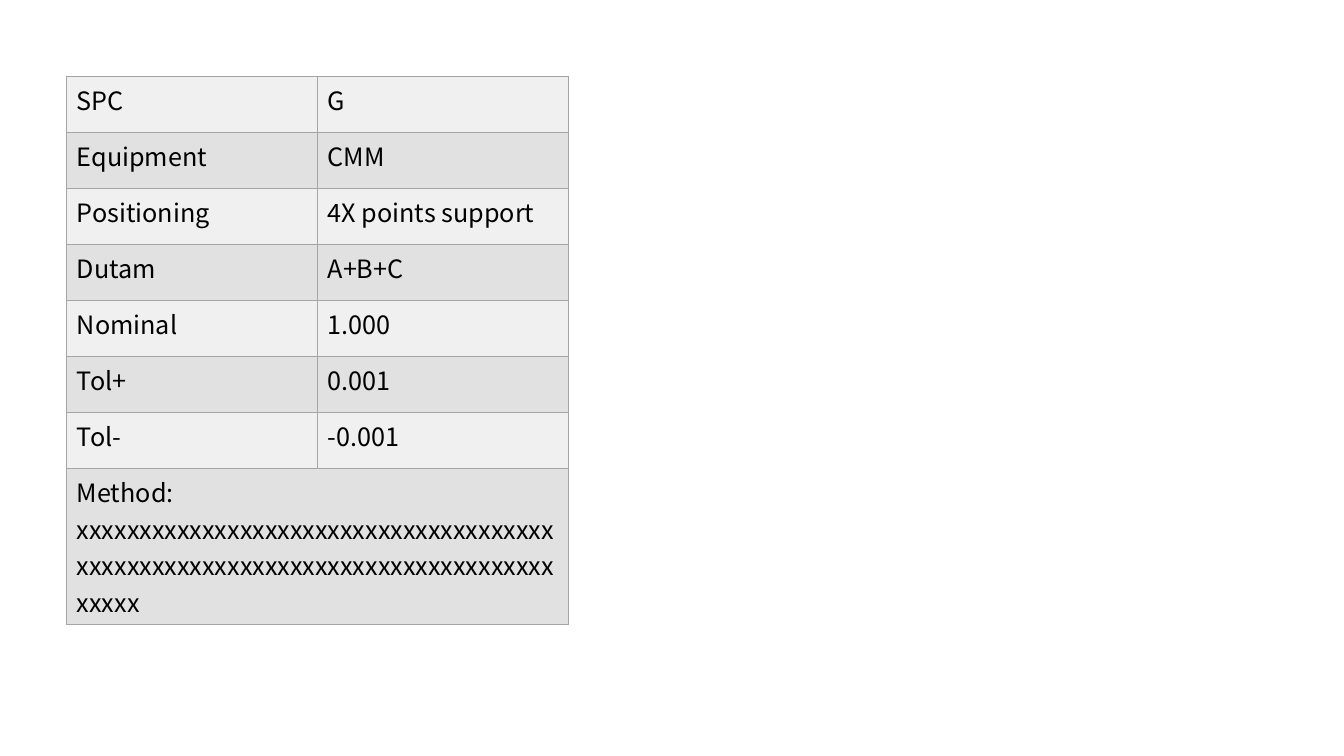
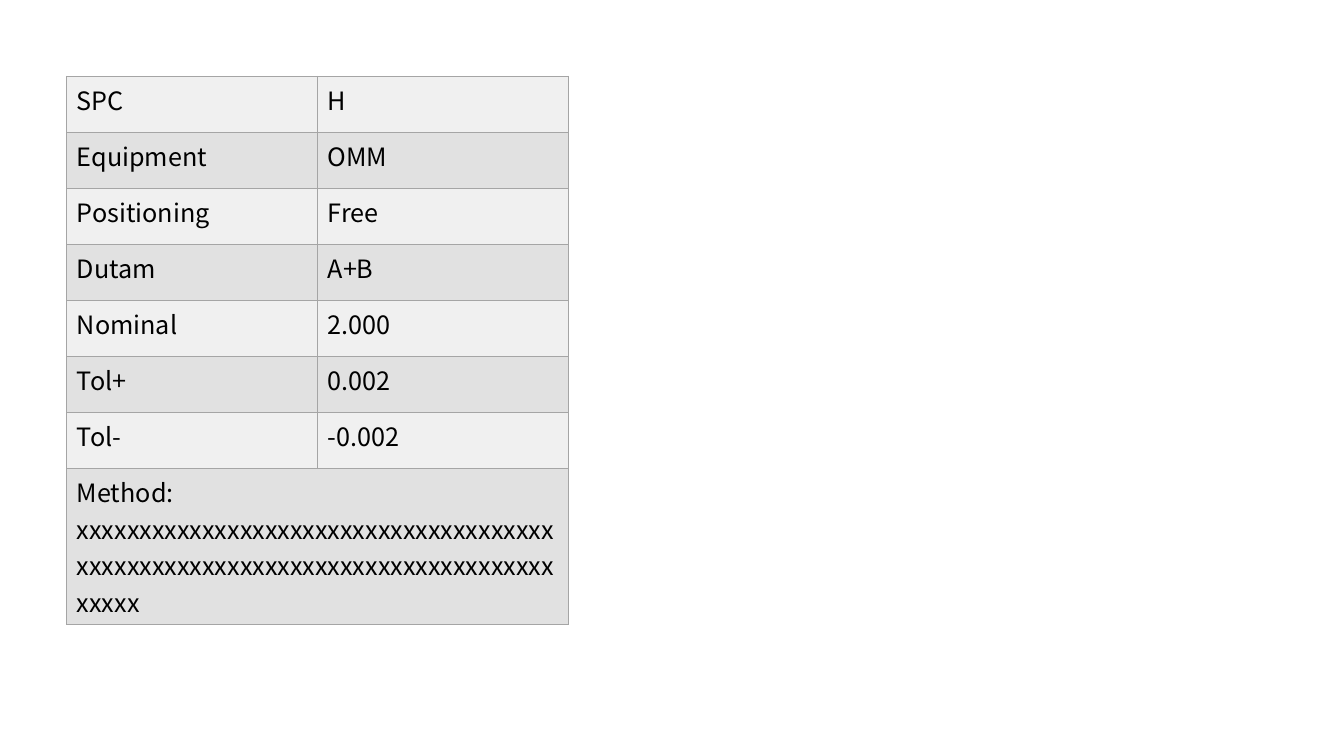
import pptx
import pptx.util
import pptx.dml.color
import pptx.oxml
import pptx.oxml.ns

Pt = pptx.util.Pt
RGBColor = pptx.dml.color.RGBColor

# Content
LABELS = ["SPC", "Equipment", "Positioning", "Dutam", "Nominal", "Tol+", "Tol-"]
INSPECTIONS = [
    ["G", "CMM", "4X points support", "A+B+C", "1.000", "0.001", "-0.001"],
    ["H", "OMM", "Free", "A+B", "2.000", "0.002", "-0.002"],
]
METHOD = "Method:\n" + "x" * 81

# Shared style
BLACK = RGBColor(0x00, 0x00, 0x00)
GREY = RGBColor(0xA5, 0xA5, 0xA5)
BANDS = [RGBColor(0xF0, 0xF0, 0xF0), RGBColor(0xE1, 0xE1, 0xE1)]
FONT_NAME = "Noto Sans CJK SC"
FONT = {"name": FONT_NAME, "size": Pt(18), "bold": False}
PLAIN = {"first_row": False, "horz_banding": False}
LEFT, TOP = 47.7, 54.6
COL_W, ROW_H, METHOD_H = 179.2, 40, 67.7
BORDER = Pt(1)


def set_all(obj, values):
    for name, value in values.items():
        setattr(obj, name, value)


def add_borders(cell):
    tc_pr = cell._tc.get_or_add_tcPr()
    for side in ("lnL", "lnR", "lnT", "lnB"):
        tc_pr.append(pptx.oxml.parse_xml(
            f'<a:{side} {pptx.oxml.ns.nsdecls("a")} w="{BORDER}"><a:solidFill>'
            f'<a:srgbClr val="{GREY}"/></a:solidFill></a:{side}>'))


def style_cell(cell, band):
    add_borders(cell)
    cell.fill.solid()
    cell.fill.fore_color.rgb = band
    for p in cell.text_frame.paragraphs:
        for r in p.runs:
            set_all(r.font, FONT)
            r.font.color.rgb = BLACK
            ea = r.font._element.makeelement(pptx.oxml.ns.qn("a:ea"), {"typeface": FONT_NAME})
            r.font._element.append(ea)


def add_inspection(slide, values):
    rows = list(zip(LABELS, values)) + [(METHOD, "")]
    height = ROW_H * len(LABELS) + METHOD_H
    table = slide.shapes.add_table(len(rows), 2, Pt(LEFT), Pt(TOP),
                                   Pt(2 * COL_W), Pt(height)).table
    set_all(table, PLAIN)
    for column in table.columns:
        column.width = Pt(COL_W)
    for i, texts in enumerate(rows):
        table.rows[i].height = Pt(ROW_H if i < len(LABELS) else METHOD_H)
        for j, text in enumerate(texts):
            cell = table.cell(i, j)
            cell.text = text
            style_cell(cell, BANDS[i % 2])
    # The method spans both columns
    last = len(rows) - 1
    table.cell(last, 0).merge(table.cell(last, 1))


# Slides
prs = pptx.Presentation()
set_all(prs, {"slide_width": Pt(960), "slide_height": Pt(540)})
for values in INSPECTIONS:
    add_inspection(prs.slides.add_slide(prs.slide_layouts[6]), values)
prs.save("out.pptx")
